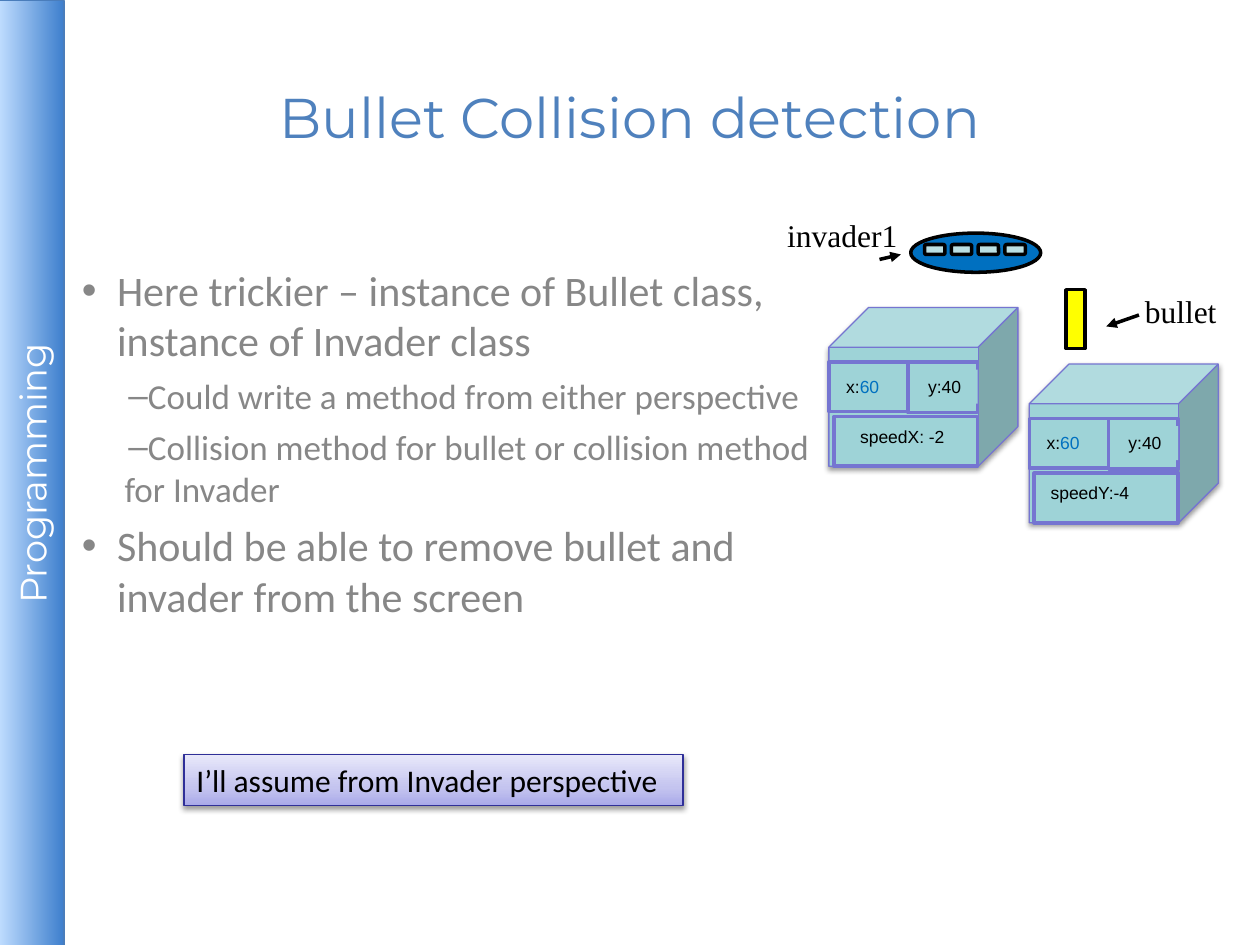
from dataclasses import dataclass

from lxml import etree
from pptx import Presentation
from pptx.dml.color import RGBColor
from pptx.enum import shapes, text
from pptx.oxml import ns
from pptx.util import Cm, Pt

BLACK = RGBColor(0x00, 0x00, 0x00)
WHITE = RGBColor(0xFF, 0xFF, 0xFF)
GREY = RGBColor(0x87, 0x87, 0x87)
TITLE_BLUE = RGBColor(0x4F, 0x81, 0xBD)
SIDEBAR_LINE = RGBColor(0x4A, 0x7D, 0xBB)
SIDEBAR_LIGHT = RGBColor(0xBD, 0xDB, 0xFE)
SIDEBAR_DARK = RGBColor(0x3E, 0x7F, 0xCD)
LILAC_DARK = RGBColor(0xA9, 0xA9, 0xE9)
LILAC_MID = RGBColor(0xC4, 0xC4, 0xEF)
LILAC_LIGHT = RGBColor(0xE8, 0xE8, 0xFA)
NOTE_LINE = RGBColor(0x2F, 0x2F, 0x98)
INVADER_BLUE = RGBColor(0x00, 0x70, 0xC0)
WINDOW = RGBColor(0xBB, 0xE0, 0xE3)
YELLOW = RGBColor(0xFF, 0xFF, 0x00)
TEAL = RGBColor(0x9E, 0xD3, 0xD7)
VIOLET = RGBColor(0x75, 0x75, 0xD1)

KIND = shapes.MSO_SHAPE


@dataclass
class Area:
    """Left, top, width and height in centimetres."""
    left: float
    top: float
    width: float
    height: float

    def lengths(self):
        return [Cm(v) for v in (self.left, self.top, self.width, self.height)]

    def moved(self, left: float, top: float):
        return Area(self.left + left, self.top + top, self.width, self.height)


@dataclass
class Bullet:
    words: str
    level: int = 0


@dataclass
class ObjectCube:
    """One instance drawn as a cube with its fields on the front."""
    left: float
    top: float
    speed: str
    speed_area: Area


BULLETS = [
    Bullet("Here trickier – instance of Bullet class, instance of Invader class"),
    Bullet("Could write a method from either perspective", 1),
    Bullet("Collision method for bullet or collision method for Invader", 1),
    Bullet("Should be able to remove bullet and invader from the screen"),
]
CUBES = [
    ObjectCube(20.75, 7.34, "speedY:-4", Area(0.18, 2.26, 2.18, 0.69)),
    ObjectCube(16.71, 6.2, "speedX: -2", Area(0.38, 2.26, 2.39, 0.69)),
]
FRAMES = [Area(0.1, 2.2, 2.9, 1), Area(0, 1.1, 1.6, 1), Area(1.6, 1.1, 1.4, 1.02)]


def add_node(parent, tag: str, **attributes):
    node = etree.SubElement(parent, ns.qn(tag))
    for name, value in attributes.items():
        node.set(name, str(value))
    return node


def write(para, words: str, *, font: str, size: float, color=BLACK, align=None):
    """Append a formatted run to a paragraph."""
    if align is not None:
        para.alignment = align
    span = para.add_run()
    span.text = words
    span.font.name, span.font.size = font, Pt(size)
    span.font.color.rgb = color


def set_insets(frame, inset: float):
    frame.margin_left = frame.margin_right = Cm(inset)
    frame.margin_top = frame.margin_bottom = Cm(inset)


def add_box(holder, kind, area: Area, fill=None, line=None, width: float = 2):
    box = holder.add_shape(kind, *area.lengths())
    box.shadow.inherit = False
    if fill is not None:
        box.fill.solid()
        box.fill.fore_color.rgb = fill
    if line is None:
        box.line.fill.background()
    else:
        box.line.color.rgb = line
        box.line.width = Pt(width)
    return box


def set_gradient(box, stops, angle: int):
    """Fill with (percent, colour) stops; the angle runs clockwise."""
    box.fill.gradient()
    gradient = box._element.spPr.find(ns.qn("a:gradFill"))
    for child in list(gradient):
        gradient.remove(child)
    stop_list = add_node(gradient, "a:gsLst")
    for percent, color in stops:
        stop = add_node(stop_list, "a:gs", pos=percent * 1000)
        add_node(stop, "a:srgbClr", val=color)
    add_node(gradient, "a:lin", ang=angle * 60000, scaled=0)


def drop_shadow(box, blur: float, distance: float, percent: int):
    effects = box._element.spPr.find(ns.qn("a:effectLst"))
    shadow = add_node(effects, "a:outerShdw", blurRad=Pt(blur), dist=Pt(distance),
                      dir=5400000, rotWithShape=0)
    color = add_node(shadow, "a:srgbClr", val=BLACK)
    add_node(color, "a:alpha", val=percent * 1000)


def add_label(holder, words: str, area: Area):
    box = holder.add_textbox(*area.lengths())
    box.text_frame.word_wrap = False
    box.text_frame.auto_size = text.MSO_AUTO_SIZE.SHAPE_TO_FIT_TEXT
    write(box.text_frame.paragraphs[0], words, font="Times New Roman", size=18)


def add_arrow(holder, start, end):
    points = [Cm(v) for v in (*start, *end)]
    arrow = holder.add_connector(shapes.MSO_CONNECTOR.STRAIGHT, *points)
    arrow.line.color.rgb = BLACK
    arrow.line.width = Pt(2)
    properties = arrow._element.spPr
    add_node(properties.find(ns.qn("a:ln")), "a:tailEnd", type="triangle")
    add_node(properties, "a:effectLst")


def add_field(holder, area: Area, *parts):
    """Add a filled field holding (words, colour) parts."""
    box = add_box(holder, KIND.RECTANGLE, area, TEAL)
    frame = box.text_frame
    frame.word_wrap = True
    frame.vertical_anchor = text.MSO_ANCHOR.TOP
    for words, color in parts:
        write(frame.paragraphs[0], words, font="Arial", size=10, color=color,
              align=text.PP_ALIGN.LEFT)


def add_cube(page, cube: ObjectCube):
    holder = page.shapes.add_group_shape().shapes
    place = (cube.left, cube.top)
    body = add_box(holder, KIND.CUBE, Area(0, 0, 3.81, 3.2).moved(*place), TEAL, VIOLET, 0.75)
    drop_shadow(body, 3.1, 1.6, 38)
    for frame in FRAMES:
        add_box(holder, KIND.RECTANGLE, frame.moved(*place), TEAL, VIOLET)
    add_field(holder, Area(0.1, 1.25, 1.35, 0.69).moved(*place),
              ("x:", BLACK), ("60", INVADER_BLUE))
    add_field(holder, Area(1.75, 1.25, 1.25, 0.69).moved(*place), ("y:40", BLACK))
    add_field(holder, Area(0.18, 2.26, 1.35, 0.69).moved(*place))
    add_field(holder, cube.speed_area.moved(*place), (cube.speed, BLACK))


def add_invader(page):
    holder = page.shapes.add_group_shape().shapes
    add_box(holder, KIND.OVAL, Area(18.36, 4.7, 2.62, 0.79), INVADER_BLUE, BLACK)
    for index in range(4):
        area = Area(18.64 + 0.54 * index, 4.93, 0.41, 0.2)
        add_box(holder, KIND.ROUNDED_RECTANGLE, area, WINDOW, BLACK)


def add_sidebar(page):
    bar = add_box(page.shapes, KIND.RECTANGLE, Area(-8.89, 8.89, 19.07, 1.3),
                  line=SIDEBAR_LINE, width=0.75)
    bar.rotation = 270
    set_gradient(bar, [(0, SIDEBAR_LIGHT), (100, SIDEBAR_DARK)], 90)
    drop_shadow(bar, 0, 1.8, 35)
    set_insets(bar.text_frame, 0.1)
    write(bar.text_frame.paragraphs[0], "Programming", font="Montserrat", size=21,
          color=WHITE, align=text.PP_ALIGN.CENTER)


def place_frame(placeholder, area: Area, anchor):
    placeholder.left, placeholder.top, placeholder.width, placeholder.height = area.lengths()
    frame = placeholder.text_frame
    frame.word_wrap = True
    frame.auto_size = text.MSO_AUTO_SIZE.NONE
    frame.vertical_anchor = anchor
    set_insets(frame, 0.1)
    return frame


def fill_body(frame):
    for index, item in enumerate(BULLETS):
        para = frame.paragraphs[0] if index == 0 else frame.add_paragraph()
        para.level = item.level
        margin, indent, before, size = [(0.71, -0.71, 6, 24), (0.86, 0.08, 5.2, 20)][item.level]
        properties = para._p.get_or_add_pPr()
        properties.set("marL", str(Cm(margin)))
        properties.set("indent", str(Cm(indent)))
        add_node(properties, "a:buFont", typeface="Arial")
        add_node(properties, "a:buChar", char="•–"[item.level])
        para.space_before = Pt(before if index else 0)
        write(para, item.words, font="Calibri", size=size, color=GREY)


def add_note(page):
    note = add_box(page.shapes, KIND.RECTANGLE, Area(3.71, 15.21, 10.06, 1.03),
                   line=NOTE_LINE, width=0.75)
    set_gradient(note, [(0, LILAC_DARK), (35, LILAC_MID), (100, LILAC_LIGHT)], 270)
    drop_shadow(note, 3.1, 1.6, 38)
    note.text_frame.word_wrap = False
    write(note.text_frame.paragraphs[0], "I’ll assume from Invader perspective",
          font="Calibri", size=18, align=text.PP_ALIGN.LEFT)


def main():
    deck = Presentation()
    deck.slide_width, deck.slide_height = Cm(25.4), Cm(19.05)
    page = deck.slides.add_slide(deck.slide_layouts[1])
    add_sidebar(page)
    title = place_frame(page.shapes.title, Area(1.27, 0.76, 22.86, 3.18), text.MSO_ANCHOR.MIDDLE)
    write(title.paragraphs[0], "Bullet Collision detection", font="Montserrat", size=32,
          color=TITLE_BLUE, align=text.PP_ALIGN.CENTER)
    fill_body(place_frame(page.placeholders[1], Area(1.55, 5.23, 15.19, 9.5),
                          text.MSO_ANCHOR.TOP))
    add_note(page)
    add_label(page.shapes, "bullet", Area(22.83, 5.77, 1.98, 1.02))
    add_arrow(page.shapes, (17.73, 5.23), (18.16, 5.13))
    add_arrow(page.shapes, (22.96, 6.35), (22.3, 6.58))
    add_invader(page)
    add_box(page.shapes, KIND.RECTANGLE, Area(21.49, 5.84, 0.38, 1.19), YELLOW, BLACK)
    add_label(page.shapes, "invader1", Area(15.62, 4.24, 2.77, 1.02))
    for cube in CUBES:
        add_cube(page, cube)
    deck.save("out.pptx")


if __name__ == "__main__":
    main()
